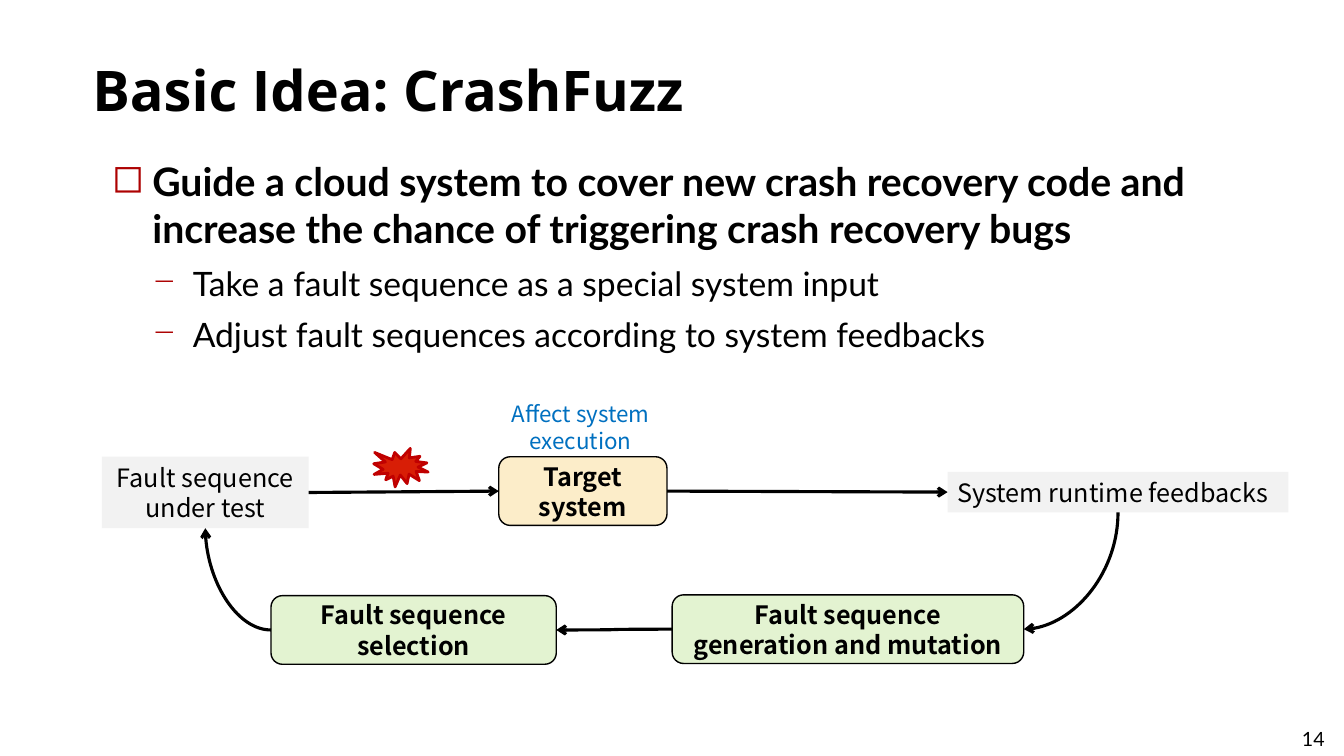
import pptx
import pptx.dml.color
import pptx.enum.shapes
import pptx.enum.text
import pptx.oxml
import pptx.oxml.ns
import pptx.util
from pptx.util import Cm

SHAPES = pptx.enum.shapes.MSO_SHAPE
CONNECTORS = pptx.enum.shapes.MSO_CONNECTOR
ANCHORS = pptx.enum.text.MSO_ANCHOR
CENTER = pptx.enum.text.PP_ALIGN.CENTER
TOP, LEFT, BOTTOM, RIGHT = range(4)
BLACK, DARK_RED, BLUE = "000000", "C00000", "0070C0"
BULLET_RED, SEAL_RED = "AD0101", "D81E06"
GREY, CREAM, GREEN = "F2F2F2", "FCEDC9", "E3F3D1"
BODY_FONT, TITLE_FONT, DIAGRAM_FONT = "Lato", "Open Sans", "Noto Sans CJK SC"


def color(hex_string):
    """Turn a hex string into a colour."""
    return pptx.dml.color.RGBColor.from_string(hex_string)


def add_element(parent, tag, **attributes):
    """Append a DrawingML element to a parent element."""
    element = pptx.oxml.parse_xml(f"<a:{tag} {pptx.oxml.ns.nsdecls('a')}/>")
    for name, value in attributes.items():
        element.set(name, value)
    parent.append(element)
    return element


def add_run(paragraph, text, font, size, bold=False, text_color=BLACK):
    """Add one formatted run to a paragraph."""
    run = paragraph.add_run()
    run.text = text
    run.font.name = font
    run.font.size = pptx.util.Pt(size)
    run.font.bold = bold
    run.font.color.rgb = color(text_color)


def add_text_box(slide, box):
    """Add a wrapping text box and return its text frame."""
    frame = slide.shapes.add_textbox(*map(Cm, box)).text_frame
    frame.word_wrap = True
    return frame


def add_title(slide, box, text):
    """Place the title at the bottom of its box."""
    frame = add_text_box(slide, box)
    frame.vertical_anchor = ANCHORS.BOTTOM
    paragraph = frame.paragraphs[0]
    paragraph.line_spacing = pptx.util.Pt(46.7)
    add_run(paragraph, text, TITLE_FONT, 40, True)


def add_bullets(slide, box, points):
    """Place a bulleted list of (level, text) points."""
    frame = add_text_box(slide, box)
    for index, (level, text) in enumerate(points):
        paragraph = frame.add_paragraph() if index else frame.paragraphs[0]
        paragraph.level = level
        if index:
            paragraph.space_before = pptx.util.Pt(8 if level else 16)
        properties = paragraph._p.get_or_add_pPr()
        properties.set("marL", str(Cm(1.02) * (level + 1)))
        properties.set("indent", str(-Cm(1.02)))
        add_element(add_element(properties, "buClr"), "srgbClr", val=BULLET_RED)
        add_element(properties, "buSzPct", val="90000" if level else "100000")
        add_element(properties, "buChar", char="−" if level else "◻")
        add_run(paragraph, text, BODY_FONT, 24 if level else 28, not level)


def add_node(slide, kind, box, fill, text="", bold=False, outline=None, width=1):
    """Add a filled diagram shape with an optional outline and label."""
    shape = slide.shapes.add_shape(kind, *map(Cm, box))
    shape.shadow.inherit = False
    shape.fill.solid()
    shape.fill.fore_color.rgb = color(fill)
    if outline:
        shape.line.color.rgb = color(outline)
        shape.line.width = pptx.util.Pt(width)
    else:
        shape.line.fill.background()
    if text:
        frame = shape.text_frame
        frame.word_wrap = True
        frame.vertical_anchor = ANCHORS.MIDDLE
        frame.paragraphs[0].alignment = CENTER
        add_run(frame.paragraphs[0], text, DIAGRAM_FONT, 18, bold)
    return shape


def add_link(slide, kind, start, end, arrow="tailEnd", preset=None):
    """Join two (shape, side) pairs with an arrow."""
    connector = slide.shapes.add_connector(kind, 0, 0, 0, 0)
    connector.begin_connect(*start)
    connector.end_connect(*end)
    connector.line.color.rgb = color(BLACK)
    connector.line.width = pptx.util.Pt(2.25)
    properties = connector._element.spPr
    if preset:
        properties.prstGeom.set("prst", preset)
    add_element(connector.line._get_or_add_ln(), arrow, type="arrow")
    add_element(properties, "effectLst")


def add_feedback_loop(slide, left, top):
    """Draw the fuzzing loop with its upper left corner at the given place."""
    def place(x, y, width, height):
        return left + x, top + y, width, height

    rounded, plain = SHAPES.ROUNDED_RECTANGLE, SHAPES.RECTANGLE
    target = add_node(slide, rounded, place(10, 1.55, 4.24, 1.73), CREAM,
                      "Target system", True, BLACK)
    sequence = add_node(slide, plain, place(0, 1.55, 5.21, 1.8), GREY,
                        "Fault sequence under test")
    feedback = add_node(slide, plain, place(21.31, 1.93, 8.59, 1.02), GREY,
                        "System runtime feedbacks")
    feedback.text_frame.word_wrap = False
    feedback.text_frame.paragraphs[0].alignment = pptx.enum.text.PP_ALIGN.LEFT
    selection = add_node(slide, rounded, place(4.26, 5.05, 7.19, 1.73), GREEN,
                         "Fault sequence selection", True, BLACK)
    generation = add_node(slide, rounded, place(14.37, 5.03, 8.86, 1.73), GREEN,
                          "Fault sequence generation and mutation", True, BLACK)

    straight, curve = CONNECTORS.STRAIGHT, CONNECTORS.CURVE
    add_link(slide, straight, (sequence, RIGHT), (target, LEFT))
    add_link(slide, straight, (target, RIGHT), (feedback, LEFT))
    add_link(slide, curve, (generation, RIGHT), (feedback, BOTTOM),
             "headEnd", "curvedConnector2")
    add_link(slide, curve, (generation, LEFT), (selection, RIGHT))
    add_link(slide, curve, (selection, LEFT), (sequence, BOTTOM),
             preset="curvedConnector2")
    add_node(slide, SHAPES.EXPLOSION1, place(6.85, 1.34, 1.37, 0.97), SEAL_RED,
             outline=DARK_RED, width=2)

    caption = add_text_box(slide, place(9.62, 0, 4.88, 1.63)).paragraphs[0]
    caption.alignment = CENTER
    add_run(caption, "Affect system execution", DIAGRAM_FONT, 16, text_color=BLUE)


def add_page_number(slide, box, number):
    """Place the page number."""
    add_run(add_text_box(slide, box).paragraphs[0], number, BODY_FONT, 14)


def main():
    """Build and save the presentation."""
    presentation = pptx.Presentation()
    presentation.slide_width, presentation.slide_height = Cm(33.87), Cm(19.05)
    slide = presentation.slides.add_slide(presentation.slide_layouts[6])
    add_title(slide, (2.08, 0.86, 30.07, 2.36), "Basic Idea: CrashFuzz")
    add_bullets(slide, (2.57, 3.84, 28.73, 5.28), [
        (0, "Guide a cloud system to cover new crash recovery code and "
            "increase the chance of triggering crash recovery bugs"),
        (1, "Take a fault sequence as a special system input"),
        (1, "Adjust fault sequences according to system feedbacks"),
    ])
    add_feedback_loop(slide, 2.57, 9.96)
    add_page_number(slide, (32.56, 18.19, 1.22, 0.86), "14")
    presentation.save("out.pptx")


if __name__ == "__main__":
    main()
